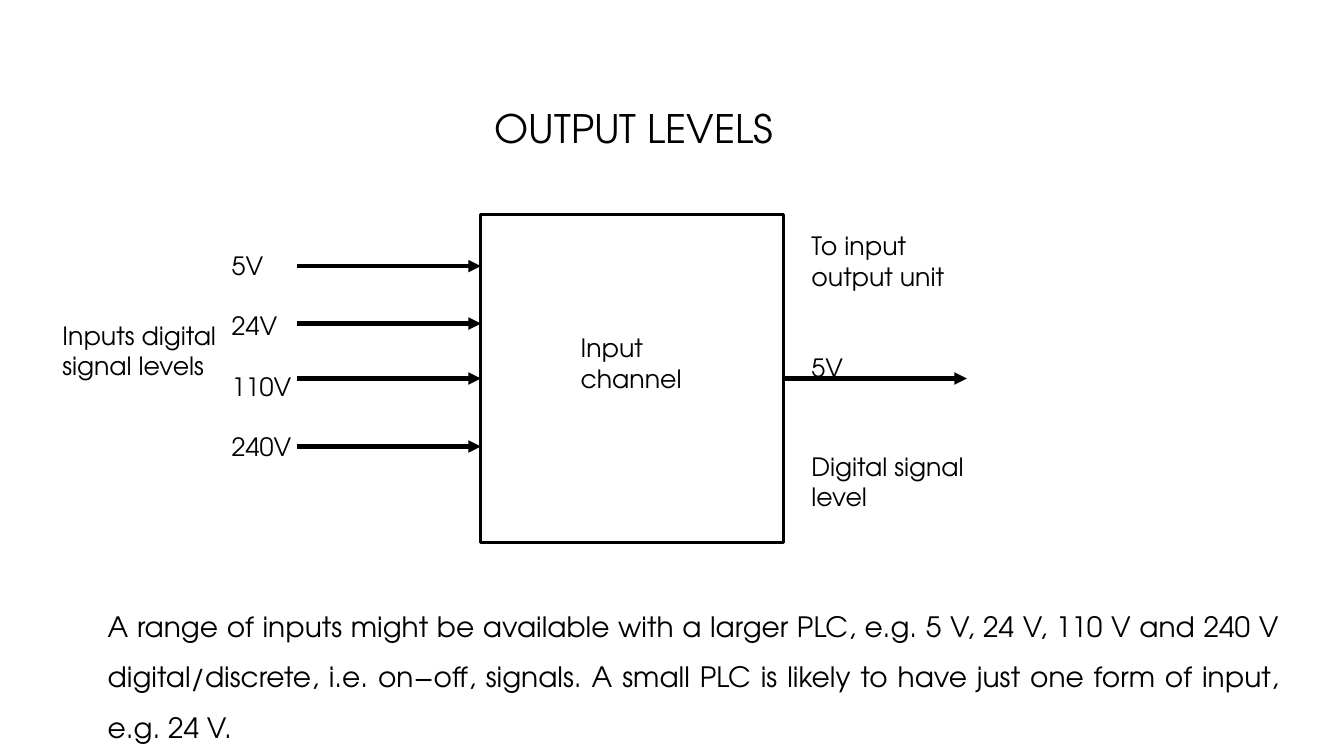
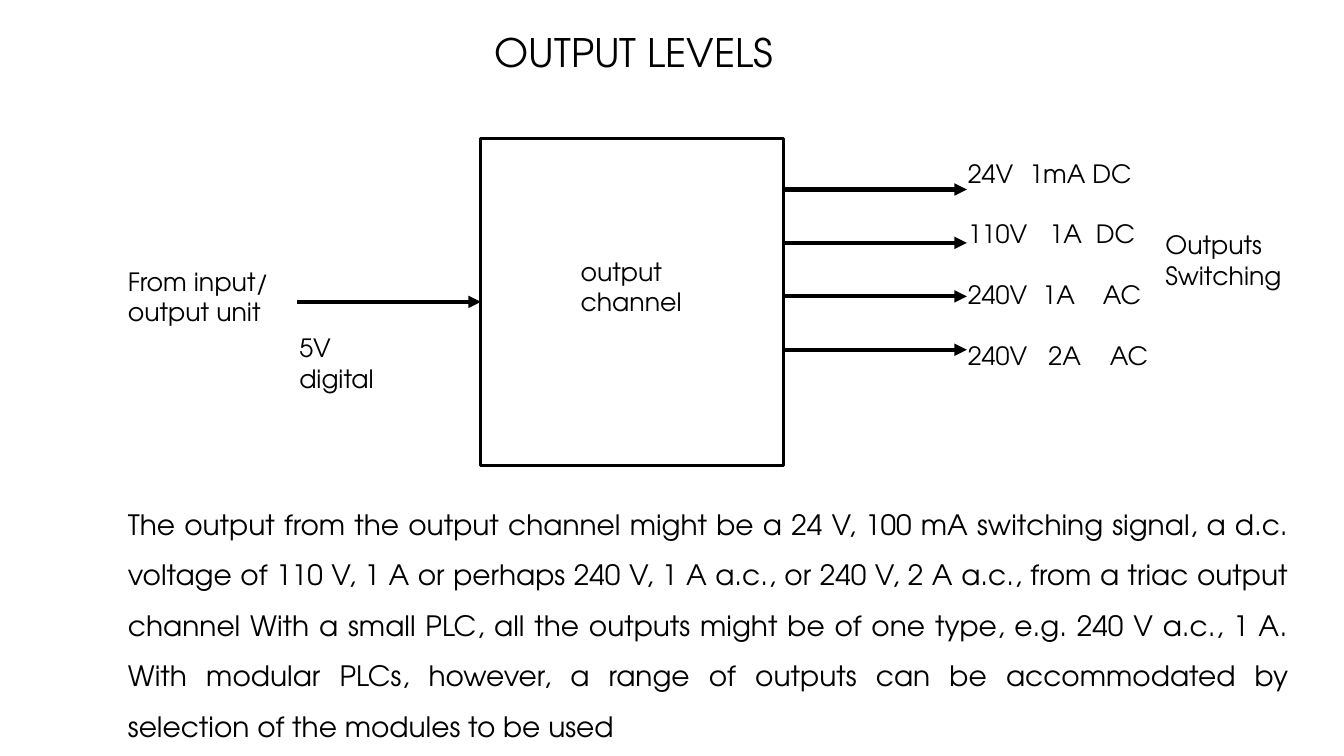
from dataclasses import dataclass

import pptx
import pptx.dml.color
import pptx.enum.shapes
import pptx.enum.text
import pptx.oxml
import pptx.oxml.ns
import pptx.util
from pptx.util import Inches

COLORS = {"ink": "000000", "paper": "FFFFFF"}
FONT = "TeX Gyre Adventor"
ALIGN = pptx.enum.text.PP_ALIGN
LEFT, WIDE, HIGH = 4.77, 3, 3.25
RIGHT = LEFT + WIDE
REACH = 1.82
MIDDLE = HIGH / 2


@dataclass
class Label:
    left: float
    top: float
    width: float
    height: float
    lines: list[str]
    size: int = 18
    align: ALIGN = ALIGN.LEFT
    pitch: float = 1
    gap: float = 0
    tabs: tuple[tuple[float, ...], ...] = ()
    wrap: bool = True


@dataclass
class Panel:
    top: float
    channel: str
    inputs: list[float]
    outputs: list[float]
    labels: list[Label]


def ink() -> pptx.dml.color.RGBColor:
    return pptx.dml.color.RGBColor.from_string(COLORS["ink"])


def add_tabs(para, stops: tuple[float, ...]) -> None:
    tabs = pptx.oxml.parse_xml(f'<a:tabLst {pptx.oxml.ns.nsdecls("a")}/>')
    for stop in stops:
        tab = tabs.makeelement(pptx.oxml.ns.qn("a:tab"),
                               {"pos": str(Inches(stop)), "algn": "l"})
        tabs.append(tab)
    para._p.get_or_add_pPr().append(tabs)


def add_label(slide, label: Label) -> None:
    shape = slide.shapes.add_textbox(Inches(label.left), Inches(label.top),
                                     Inches(label.width), Inches(label.height))
    frame = shape.text_frame
    frame.word_wrap = label.wrap
    frame.auto_size = pptx.enum.text.MSO_AUTO_SIZE.SHAPE_TO_FIT_TEXT
    for row, line in enumerate(label.lines):
        para = frame.add_paragraph() if row else frame.paragraphs[0]
        if label.tabs:
            add_tabs(para, label.tabs[row])
        para.alignment = label.align
        para.line_spacing = label.pitch
        if row and label.gap:
            para.space_before = pptx.util.Pt(label.gap)
        run = para.add_run()
        run.text = line
        run.font.name = FONT
        run.font.size = pptx.util.Pt(label.size)
        run.font.color.rgb = ink()


def add_box(slide, top: float):
    box = slide.shapes.add_shape(pptx.enum.shapes.MSO_SHAPE.RECTANGLE,
                                 Inches(LEFT), Inches(top),
                                 Inches(WIDE), Inches(HIGH))
    box.shadow.inherit = False
    box.fill.background()
    box.line.color.rgb = ink()
    box.line.width = pptx.util.Pt(2.25)
    return box


def add_arrow(slide, start: float, y: float):
    """Draw an arrow that points right from start."""
    arrow = slide.shapes.add_connector(
        pptx.enum.shapes.MSO_CONNECTOR.STRAIGHT,
        Inches(start), Inches(y), Inches(start + REACH), Inches(y))
    arrow.line.color.rgb = ink()
    arrow.line.width = pptx.util.Pt(3)
    space = pptx.oxml.ns.nsdecls("a")
    arrow.line._get_or_add_ln().append(
        pptx.oxml.parse_xml(f'<a:tailEnd {space} type="triangle"/>'))
    arrow._element.spPr.append(pptx.oxml.parse_xml(f"<a:effectLst {space}/>"))
    return arrow


def add_panel(deck, panel: Panel) -> None:
    slide = deck.slides.add_slide(deck.slide_layouts[6])
    slide.background.fill.solid()
    slide.background.fill.fore_color.rgb = (
        pptx.dml.color.RGBColor.from_string(COLORS["paper"]))
    box = add_box(slide, panel.top)
    add_label(slide, Label(2.95, panel.top - 1.14, 6.67, 0.57,
                           ["OUTPUT LEVELS"], 28, ALIGN.CENTER))
    for drop in panel.inputs:
        arrow = add_arrow(slide, LEFT - REACH, panel.top + drop)
        if drop == MIDDLE:
            arrow.end_connect(box, 1)
    for drop in panel.outputs:
        arrow = add_arrow(slide, RIGHT, panel.top + drop)
        if drop == MIDDLE:
            arrow.begin_connect(box, 3)
    add_label(slide, Label(5.66, panel.top + 1.12, 1.22, 0.71,
                           [panel.channel, "channel"], wrap=False))
    for label in panel.labels:
        add_label(slide, label)


def body(left: float, top: float, width: float, height: float,
         text: str) -> Label:
    return Label(left, top, width, height, [text], 20, ALIGN.JUSTIFY, 1.5)


def levels(left: float, top: float, lines: list[str],
           tabs: tuple[tuple[float, ...], ...] = ()) -> Label:
    """Make a column of levels with one line of space between rows."""
    return Label(left, top, 2.12, 2.83, lines, gap=21.7, tabs=tabs)


PANELS = [
    Panel(2.13, "Input", [0.51, 1.08, MIDDLE, 2.3], [MIDDLE], [
        Label(0.52, 3.13, 2.12, 0.71, ["Inputs digital", "signal levels"]),
        levels(2.2, 2.43, ["5V", "24V", "110V", "240V"]),
        Label(7.95, 2.24, 2.59, 0.71, ["To input", "output unit"]),
        Label(7.95, 3.45, 2.59, 0.4, ["5V"]),
        Label(7.95, 4.43, 3, 0.71, ["Digital signal", "level"]),
        body(0.97, 5.83, 11.82, 1.55,
             "A range of inputs might be available with a larger PLC, e.g. "
             "5 V, 24 V, 110 V and 240 V digital/discrete, i.e. on−off, "
             "signals. A small PLC is likely to have just one form of input, "
             "e.g. 24 V."),
    ]),
    Panel(1.37, "output", [MIDDLE], [0.51 + 0.53 * row for row in range(4)], [
        levels(9.5, 1.52,
               ["24V\t1mA DC", "110V\t1A\tDC", "240V\t1A\tAC", "240V\t2A\tAC"],
               ((0.61,), (0.81, 1.27), (0.74, 1.34), (0.8, 1.41))),
        Label(1.17, 2.59, 1.7, 0.71, ["From input/", "output unit"]),
        Label(2.87, 3.25, 1.04, 0.71, ["5V digital"]),
        Label(11.46, 2.23, 1.41, 0.71, ["Outputs", "Switching"]),
        body(1.17, 4.82, 11.71, 2.56,
             "The output from the output channel might be a 24 V, 100 mA "
             "switching signal, a d.c. voltage of 110 V, 1 A or perhaps "
             "240 V, 1 A a.c., or 240 V, 2 A a.c., from a triac output "
             "channel With a small PLC, all the outputs might be of one "
             "type, e.g. 240 V a.c., 1 A. With modular PLCs, however, a "
             "range of outputs can be accommodated by selection of the "
             "modules to be used"),
    ]),
]


def main() -> None:
    deck = pptx.Presentation()
    deck.slide_width = Inches(13.33)
    deck.slide_height = Inches(7.5)
    for panel in PANELS:
        add_panel(deck, panel)
    deck.save("out.pptx")


if __name__ == "__main__":
    main()
